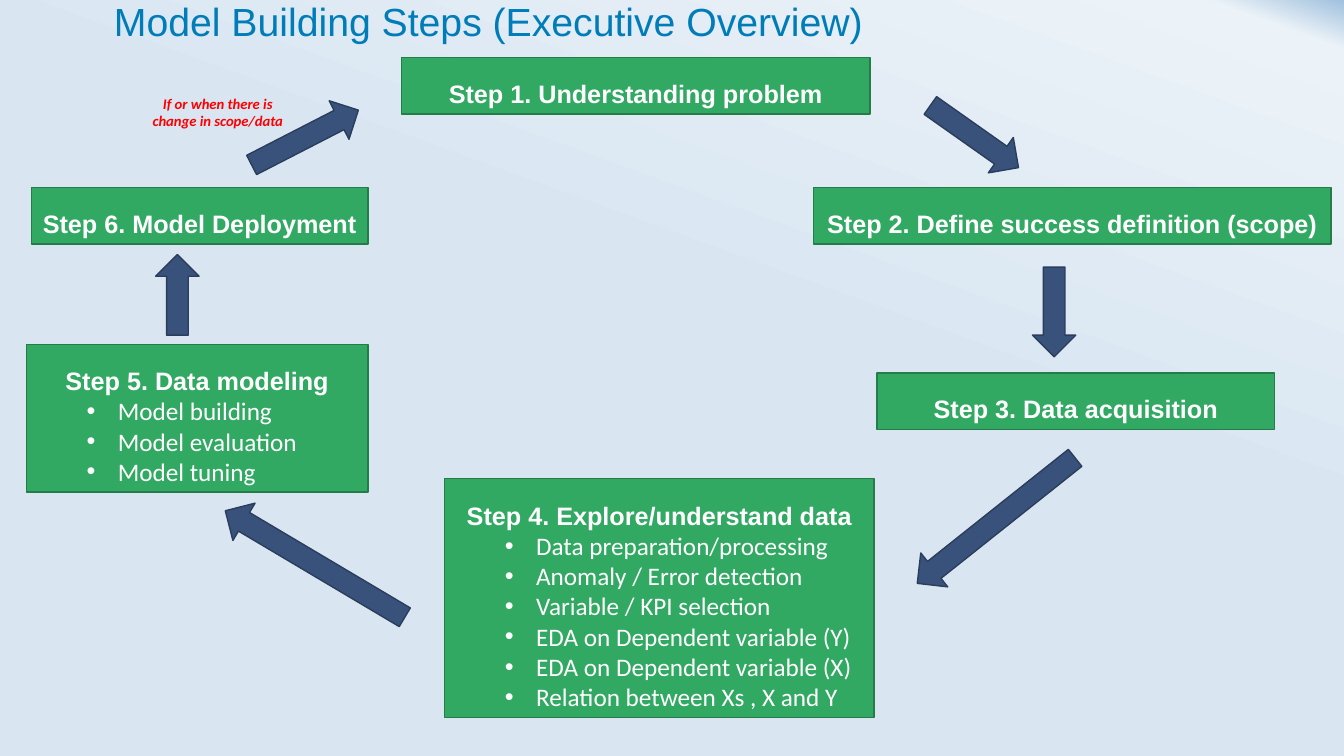
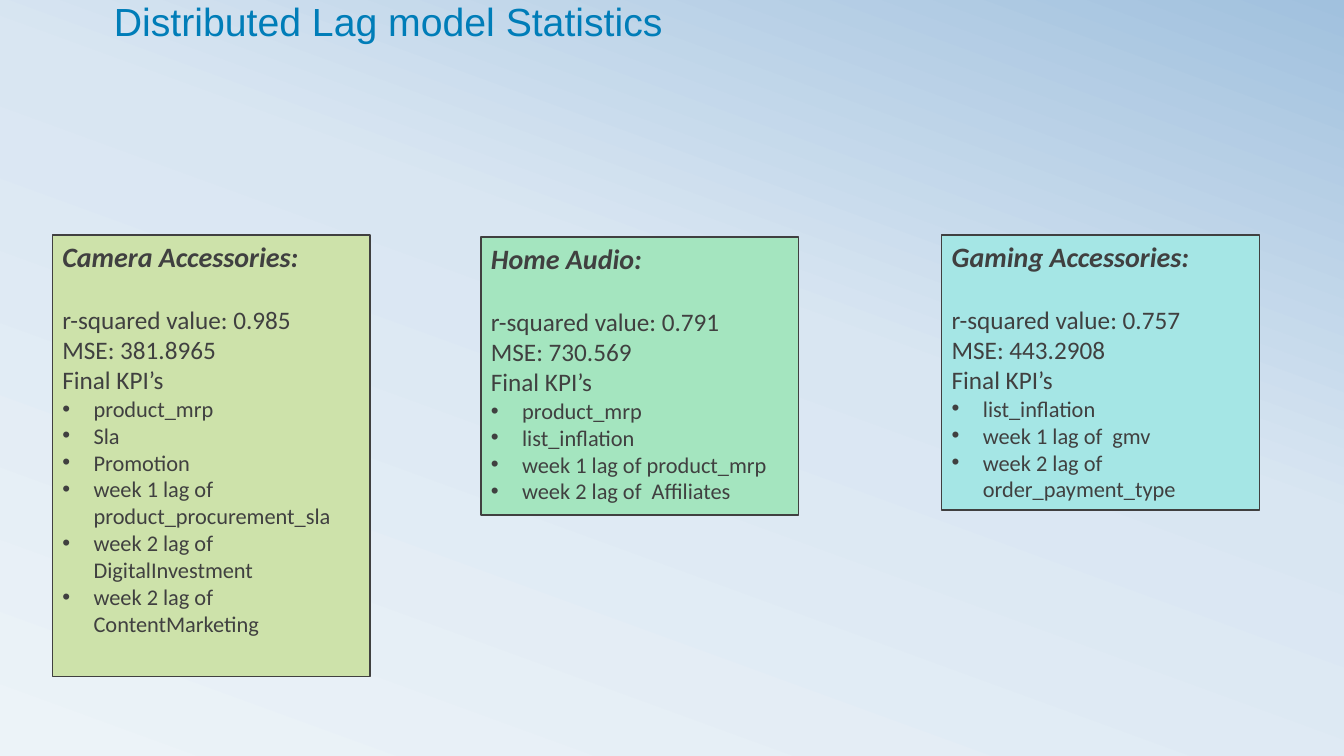
"""Build two slides: a model building cycle and distributed lag model statistics."""
import copy

import pptx
import pptx.dml.color
import pptx.enum.shapes
import pptx.enum.text
import pptx.oxml
import pptx.oxml.ns
import pptx.util

Inches = pptx.util.Inches
Pt = pptx.util.Pt
SHAPES = pptx.enum.shapes.MSO_SHAPE
ANCHOR = pptx.enum.text.MSO_ANCHOR
ALIGN = pptx.enum.text.PP_ALIGN

COLORS = {
    "title": "007DB8", "step": "31A962", "step_line": "247D49",
    "arrow": "39527B", "arrow_line": "2A3D5B", "white": "FFFFFF",
    "note": "FF0000", "dark": "404040", "camera": "CDE2AA",
    "audio": "A4E5BF", "gaming": "A5E6E5",
    "sky_light": "ECF3F8", "sky_middle": "D9E6F2", "sky_deep": "A1C1DE",
}
RGB = {name: pptx.dml.color.RGBColor.from_string(value) for name, value in COLORS.items()}

TITLE = {"name": "Arial", "size": Pt(28), "bold": False}
STEP_HEADING = {"name": "Arial", "size": Pt(18), "bold": True}
BODY = {"name": "Calibri", "size": Pt(18), "bold": False}
KPI = {"name": "Calibri", "size": Pt(16), "bold": False}
CARD_HEADING = {"name": "Calibri", "size": Pt(20), "bold": True, "italic": True}
NOTE = {"name": "Calibri", "size": Pt(10.5), "bold": True, "italic": True}


def add_box(slide, kind, position, fill, line):
    shape = slide.shapes.add_shape(kind, *[Inches(value) for value in position])
    shape.shadow.inherit = False
    shape.fill.solid()
    shape.fill.fore_color.rgb = RGB[fill]
    shape.line.color.rgb = RGB[line]
    shape.line.width = Pt(1)
    return shape


def add_text(frame, text, font, color, layout=None, bullet_indent=None):
    paragraph = frame.paragraphs[0]
    if paragraph.runs:
        paragraph = frame.add_paragraph()
    run = paragraph.add_run()
    run.text = text
    for name, value in font.items():
        setattr(run.font, name, value)
    run.font.color.rgb = RGB[color]
    for name, value in {"alignment": ALIGN.LEFT, **(layout or {})}.items():
        setattr(paragraph, name, value)
    if bullet_indent is not None:
        properties = paragraph._p.get_or_add_pPr()
        properties.set("marL", str(Inches(bullet_indent)))
        properties.set("indent", str(Inches(-0.31)))
        for tag, name, value in [("buFont", "typeface", "Arial"), ("buChar", "char", "•")]:
            bullet = pptx.oxml.parse_xml(f'<a:{tag} {pptx.oxml.ns.nsdecls("a")}/>')
            bullet.set(name, value)
            properties.append(bullet)


presentation = pptx.Presentation()
presentation.slide_width = Inches(13.33)
presentation.slide_height = Inches(7.5)

slide_settings = [
    ("Model Building Steps (Executive Overview)",
     [(0.58, "sky_middle"), (0.96, "sky_light"), (1, "sky_deep")]),
    ("Distributed Lag model Statistics",
     [(0, "sky_light"), (0.58, "sky_middle"), (1, "sky_deep")]),
]
for title_text, stops in slide_settings:
    slide = presentation.slides.add_slide(presentation.slide_layouts[5])
    background = slide.background.fill
    background.gradient()
    background.gradient_angle = 70
    stop_list = slide.element.find(".//" + pptx.oxml.ns.qn("a:gsLst"))
    stop_list.append(copy.deepcopy(stop_list[0]))
    for stop, (place, color) in zip(background.gradient_stops, stops):
        stop.position = place
        stop.color.rgb = RGB[color]

    title = slide.shapes.title
    title.left, title.top = Inches(1.13), Inches(-0.03)
    title.width, title.height = Inches(12), Inches(0.54)
    frame = title.text_frame
    frame.margin_left = frame.margin_right = 0
    frame.vertical_anchor = ANCHOR.MIDDLE
    frame.auto_size = pptx.enum.text.MSO_AUTO_SIZE.NONE
    add_text(frame, title_text, TITLE, "title", {"line_spacing": 0.9})

cycle_slide, statistics_slide = presentation.slides

steps = [
    ("Understanding problem", (3.98, 0.57, 4.65, 0.56), []),
    ("Define success definition (scope)", (8.07, 1.86, 5.13, 0.56), []),
    ("Data acquisition", (8.7, 3.7, 3.94, 0.56), []),
    ("Explore/understand data", (4.41, 4.75, 4.26, 2.37),
     ["Data preparation/processing", "Anomaly / Error detection",
      "Variable / KPI selection", "EDA on Dependent variable (Y)",
      "EDA on Dependent variable (X)", "Relation between Xs , X and Y"]),
    ("Data modeling", (0.26, 3.42, 3.39, 1.46),
     ["Model building", "Model evaluation", "Model tuning"]),
    ("Model Deployment", (0.31, 1.86, 3.34, 0.56), []),
]
for number, (heading, position, tasks) in enumerate(steps, start=1):
    box = add_box(cycle_slide, SHAPES.RECTANGLE, position, "step", "step_line")
    frame = box.text_frame
    frame.word_wrap = True
    frame.vertical_anchor = ANCHOR.MIDDLE
    add_text(frame, f"Step {number}. {heading}", STEP_HEADING, "white",
             {"alignment": ALIGN.CENTER, "line_spacing": 1.5})
    for task in tasks:
        add_text(frame, task, BODY, "white", bullet_indent=0.81)

arrows = [
    (9.13, 1.14, 1.07, 35.2), (10.01, 2.88, 0.89, 90), (8.88, 4.95, 2, 141.5),
    (2.09, 5.38, 2.07, 210.7), (1.36, 2.71, 0.8, 270), (2.43, 1.15, 1.19, 332.8),
]
for left, top, length, rotation in arrows:
    arrow = add_box(cycle_slide, SHAPES.RIGHT_ARROW, (left, top, length, 0.43),
                    "arrow", "arrow_line")
    arrow.rotation = rotation

note = cycle_slide.shapes.add_textbox(Inches(1.35), Inches(0.89), Inches(1.62), Inches(0.47))
note.text_frame.word_wrap = True
add_text(note.text_frame, "If or when there is change in scope/data", NOTE, "note",
         {"alignment": ALIGN.CENTER})

cards = [
    ("Camera Accessories:", "camera", (0.52, 2.33, 3.15, 4.38), "0.985", "381.8965",
     ["product_mrp", "Sla", "Promotion", "week 1 lag of product_procurement_sla",
      "week 2 lag of DigitalInvestment", "week 2 lag of ContentMarketing"]),
    ("Home Audio:", "audio", (4.77, 2.35, 3.15, 2.76), "0.791", "730.569",
     ["product_mrp", "list_inflation", "week 1 lag of product_mrp",
      "week 2 lag of  Affiliates"]),
    ("Gaming Accessories:", "gaming", (9.34, 2.33, 3.15, 2.73), "0.757", "443.2908",
     ["list_inflation", "week 1 lag of  gmv", "week 2 lag of order_payment_type"]),
]
for heading, fill, position, r_squared, error, indicators in cards:
    card = add_box(statistics_slide, SHAPES.RECTANGLE, position, fill, "dark")
    frame = card.text_frame
    frame.word_wrap = True
    frame.vertical_anchor = ANCHOR.TOP
    add_text(frame, heading, CARD_HEADING, "dark", {"space_after": Pt(22)})
    for line in [f"r-squared value: {r_squared}", f"MSE: {error}", "Final KPI’s"]:
        add_text(frame, line, BODY, "dark")
    for indicator in indicators:
        add_text(frame, indicator, KPI, "dark", bullet_indent=0.31)

presentation.save("out.pptx")
